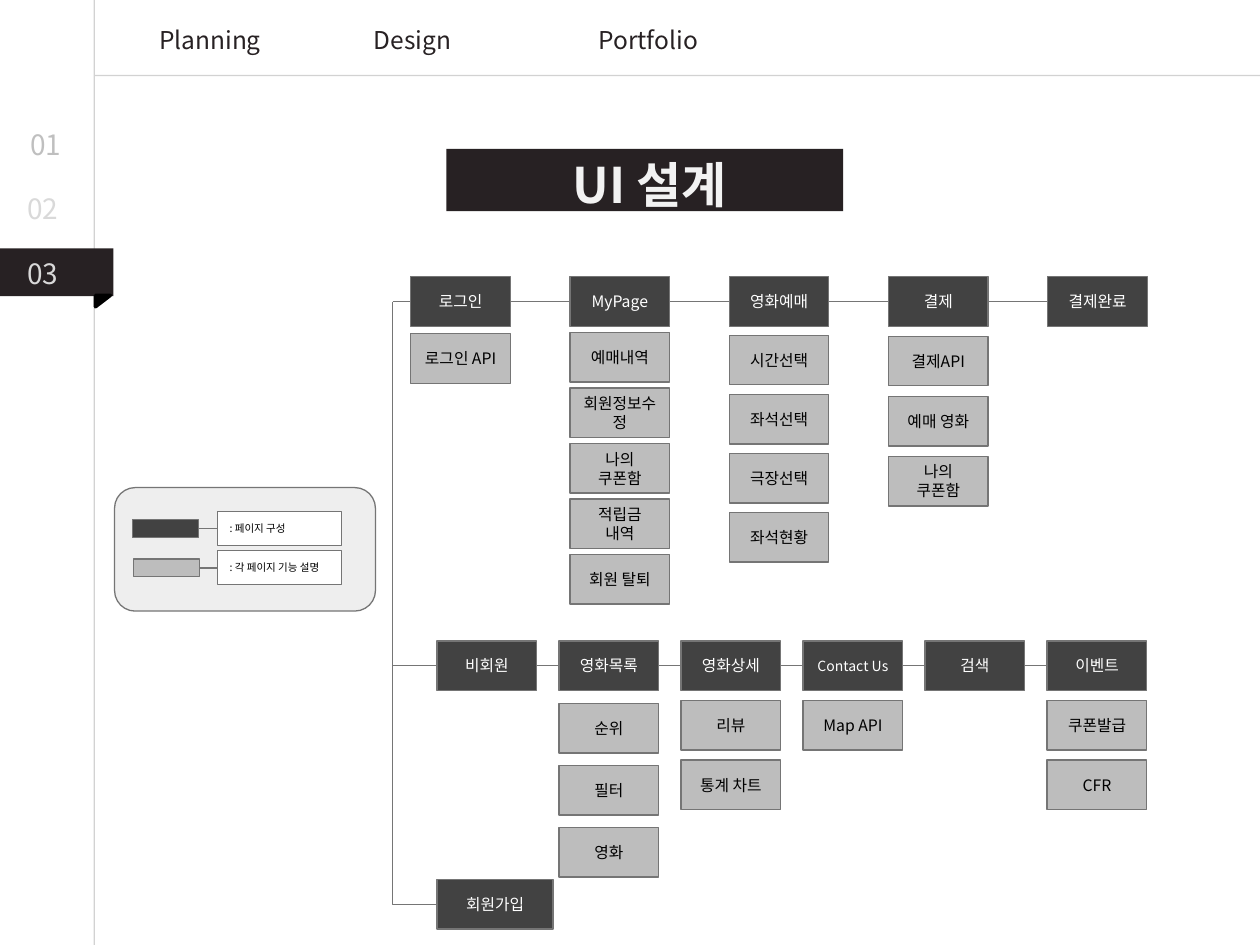
from lxml.etree import SubElement
from pptx import Presentation
from pptx.dml.color import RGBColor
from pptx.enum.shapes import MSO_CONNECTOR, MSO_SHAPE
from pptx.enum.text import MSO_ANCHOR, PP_ALIGN
from pptx.oxml.ns import qn
from pptx.util import Cm, Pt

FONT = "Noto Sans CJK KR"
INK = RGBColor(0x27, 0x21, 0x23)
BLACK = RGBColor(0, 0, 0)
WHITE = RGBColor(0xFF, 0xFF, 0xFF)
DARK = RGBColor(0x42, 0x42, 0x42)
LIGHT = RGBColor(0xBD, 0xBD, 0xBD)
PANEL = RGBColor(0xEE, 0xEE, 0xEE)
EDGE = RGBColor(0x75, 0x75, 0x75)
RULE = RGBColor(0xA6, 0xA6, 0xA6)
TITLE = RGBColor(0xF2, 0xF2, 0xF2)
NUMBER = RGBColor(0xD9, 0xD9, 0xD9)
FIRST_NUMBER = RGBColor(0xBF, 0xBF, 0xBF)

presentation = Presentation()
presentation.slide_width = Cm(25.4)
presentation.slide_height = Cm(19.05)
slide = presentation.slides.add_slide(presentation.slide_layouts[6])


def add_box(left, top, width, height, fill, edge=EDGE, kind=MSO_SHAPE.RECTANGLE):
    shape = slide.shapes.add_shape(kind, Cm(left), Cm(top), Cm(width), Cm(height))
    shape.shadow.inherit = False
    shape.fill.solid()
    shape.fill.fore_color.rgb = fill
    if edge is None:
        shape.line.fill.background()
    else:
        shape.line.color.rgb = edge
        shape.line.width = Pt(0.75)
    frame = shape.text_frame
    frame.margin_left = frame.margin_right = Cm(0.25)
    frame.margin_top = frame.margin_bottom = Cm(0.25)
    frame.vertical_anchor = MSO_ANCHOR.MIDDLE
    return shape


def write_text(shape, text, size, color, align=PP_ALIGN.CENTER):
    shape.text_frame.word_wrap = True
    paragraph = shape.text_frame.paragraphs[0]
    paragraph.text = text
    paragraph.alignment = align
    font = paragraph.font
    font.name, font.size, font.color.rgb = FONT, Pt(size), color
    # Hangul takes its font from the East Asian slot
    properties = paragraph._p.get_or_add_pPr().get_or_add_defRPr()
    SubElement(properties, qn("a:ea"), typeface=FONT)
    return font


# Site map: row left, top and step, then pages with first feature top, feature step, features
BOX_WIDTH, BOX_HEIGHT = 2.01, 1.0
TRUNK = 7.92
rows = [
    (8.28, 5.58, 3.21, [
        ("로그인", 6.73, 0, ["로그인 API"]),
        ("MyPage", 6.7, 1.12, ["예매내역", "회원정보수정", "나의 쿠폰함", "적립금 내역", "회원 탈퇴"]),
        ("영화예매", 6.76, 1.19, ["시간선택", "좌석선택", "극장선택", "좌석현황"]),
        ("결제", 6.78, 1.21, ["결제API", "예매 영화", "나의 쿠폰함"]),
        ("결제완료", 0, 0, []),
    ]),
    (8.81, 12.92, 2.46, [
        ("비회원", 0, 0, []),
        ("영화목록", 14.18, 1.25, ["순위", "필터", "영화"]),
        ("영화상세", 14.12, 1.2, ["리뷰", "통계 차트"]),
        ("Contact Us", 14.12, 1.2, ["Map API"]),
        ("검색", 0, 0, []),
        ("이벤트", 14.12, 1.2, ["쿠폰발급", "CFR"]),
    ]),
]
lines = [(TRUNK, 6.08, rows[0][0], 6.08, EDGE)]
for row_left, row_top, row_step, pages in rows:
    for column, (page, feature_top, feature_step, features) in enumerate(pages):
        left = row_left + column * row_step
        box = add_box(left, row_top, BOX_WIDTH, BOX_HEIGHT, DARK)
        write_text(box, page, 8 if page == "Contact Us" else 9, WHITE)
        if column:
            middle = row_top + BOX_HEIGHT / 2
            lines.append((left - row_step + BOX_WIDTH, middle, left, middle, EDGE))
        for index, feature in enumerate(features):
            box = add_box(left, feature_top + index * feature_step, BOX_WIDTH, BOX_HEIGHT, LIGHT)
            write_text(box, feature, 9, BLACK)
write_text(add_box(8.81, 17.73, 2.34, BOX_HEIGHT, DARK), "회원가입", 9, WHITE)

# Trunk branches: an elbow turned a quarter, running down and then right
for top, bottom in [(6.08, 13.42), (11.53, 18.23)]:
    center_x, center_y = (TRUNK + 8.81) / 2, (top + bottom) / 2
    half_length, half_width = (bottom - top) / 2, (8.81 - TRUNK) / 2
    branch = slide.shapes.add_connector(
        MSO_CONNECTOR.ELBOW,
        Cm(center_x + half_length), Cm(center_y - half_width),
        Cm(center_x - half_length), Cm(center_y + half_width))
    branch.line.color.rgb = EDGE
    branch.line.width = Pt(0.75)
    properties = branch._element.spPr
    properties.find(qn("a:xfrm")).set("rot", "16200000")
    properties.find(qn("a:prstGeom")).set("prst", "bentConnector2")
    SubElement(properties, qn("a:effectLst"))

# Legend
add_box(2.31, 9.83, 5.26, 2.49, PANEL, kind=MSO_SHAPE.ROUNDED_RECTANGLE)
for left, top, color, label in [(2.67, 10.48, DARK, ": 페이지 구성"),
                                (2.69, 11.27, LIGHT, ": 각 페이지 기능 설명")]:
    add_box(left, top, 1.33, 0.36, color)
    label_box = add_box(4.38, top - 0.17, 2.5, 0.69, WHITE)
    write_text(label_box, label, 6, BLACK, PP_ALIGN.LEFT)
    lines.append((left + 1.33, top + 0.18, 4.38, top + 0.18, EDGE))

# Straight lines, with the page rules half transparent
lines += [(1.9, 0, 1.9, 19.05, RULE), (1.92, 1.52, 25.4, 1.52, RULE)]
for start_x, start_y, end_x, end_y, color in lines:
    connector = slide.shapes.add_connector(
        MSO_CONNECTOR.STRAIGHT, Cm(start_x), Cm(start_y), Cm(end_x), Cm(end_y))
    connector.line.color.rgb = color
    connector.line.width = Pt(0.75)
    properties = connector._element.spPr
    if color == RULE:
        SubElement(properties.find(".//" + qn("a:srgbClr")), qn("a:alpha"), val="50000")
    SubElement(properties, qn("a:effectLst"))

# Title bar and current section tab with its fold
add_box(9, 3, 8, 1.26, INK, edge=None)
add_box(0, 5.01, 2.29, 0.96, INK, edge=None)
fold = add_box(1.96, 5.92, 0.23, 0.3, BLACK, BLACK, MSO_SHAPE.RIGHT_TRIANGLE)
fold.rotation = 90
fold.line.width = Pt(2)

# Title, section numbers and menu
labels = [
    ("UI 설계", 9.3, 3, 7.6, 1.45, 28, TITLE, PP_ALIGN.CENTER),
    ("01", 0.36, 2.44, 1.5, 0.94, 16, FIRST_NUMBER, PP_ALIGN.LEFT),
    ("02", 0.3, 3.73, 1.25, 0.94, 16, NUMBER, PP_ALIGN.LEFT),
    ("03", 0.3, 5.05, 1.25, 0.94, 16, NUMBER, PP_ALIGN.LEFT),
    ("Planning", 2.89, 0.38, 2.69, 0.86, 14, INK, PP_ALIGN.CENTER),
    ("Design", 6.97, 0.38, 2.69, 0.86, 14, INK, PP_ALIGN.CENTER),
    ("Portfolio", 11.05, 0.38, 4.04, 0.86, 14, INK, PP_ALIGN.CENTER),
]
for text, left, top, width, height, size, color, align in labels:
    text_box = slide.shapes.add_textbox(Cm(left), Cm(top), Cm(width), Cm(height))
    font = write_text(text_box, text, size, color, align)
    font.bold = size == 28

presentation.save("out.pptx")
